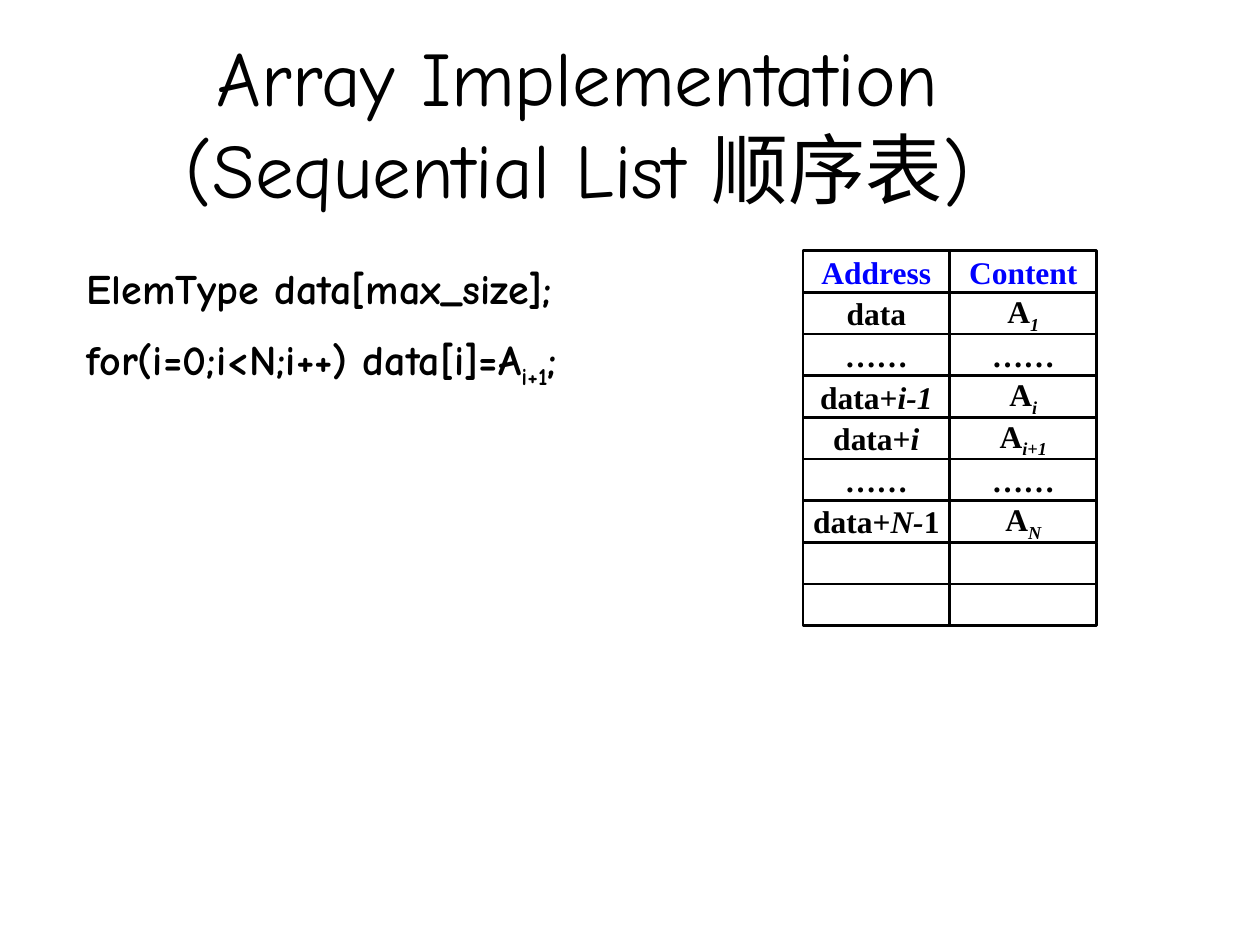
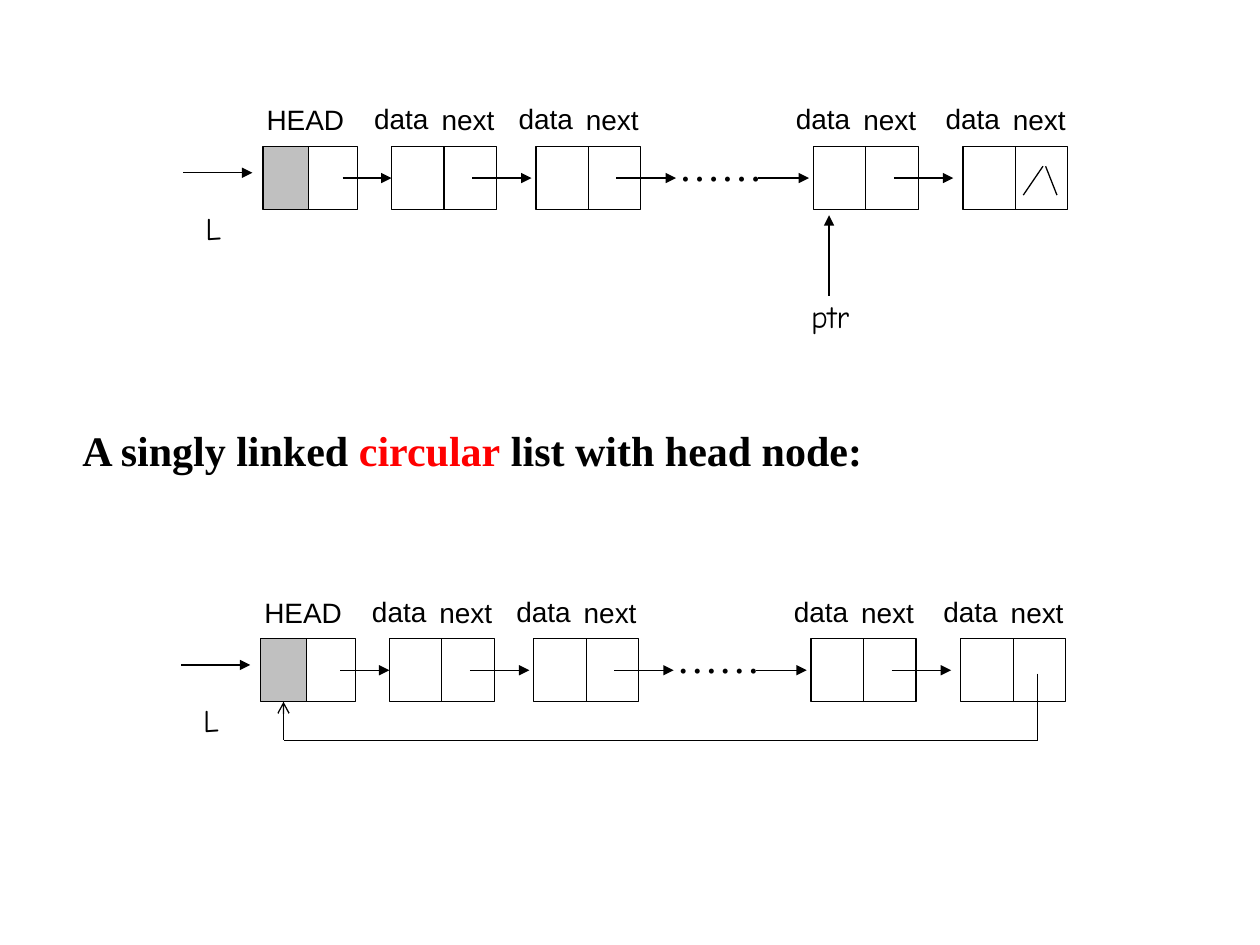
from lxml import etree
from pptx import Presentation
from pptx.dml.color import RGBColor
from pptx.enum.shapes import MSO_CONNECTOR, MSO_SHAPE
from pptx.enum.text import MSO_ANCHOR, PP_ALIGN
from pptx.oxml.ns import qn
from pptx.util import Pt

RECTANGLE = MSO_SHAPE.RECTANGLE
STRAIGHT = MSO_CONNECTOR.STRAIGHT
TOP, MIDDLE, BOTTOM = MSO_ANCHOR.TOP, MSO_ANCHOR.MIDDLE, MSO_ANCHOR.BOTTOM
LEFT, CENTER = PP_ALIGN.LEFT, PP_ALIGN.CENTER
LEFT_SITE, BOTTOM_SITE = 1, 2

COLORS = {"ink": "000000", "header": "0000FF", "accent": "FF0000", "head": "C0C0C0"}
HAND, SERIF, SANS = "Comic Neue", "Times New Roman", "Arial"
SUBSCRIPT = {"baseline": -25000}
ITALIC = {"italic": True}
ITALIC_SUBSCRIPT = {"italic": True, "baseline": -25000}


def color_of(name):
    return RGBColor.from_string(COLORS[name])


def write(frame, paragraphs, font=SANS, size=16, color="ink", bold=False, align=LEFT, gap=0):
    for index, pieces in enumerate(paragraphs):
        para = frame.add_paragraph() if index else frame.paragraphs[0]
        para.alignment = align
        if index:
            para.space_before = Pt(gap)
        for piece in pieces:
            text, change = (piece, {}) if isinstance(piece, str) else piece
            span = para.add_run()
            span.text = text
            span.font.name = font
            span.font.size = Pt(size)
            span.font.bold = bold
            span.font.italic = change.get("italic", False)
            span.font.color.rgb = color_of(change.get("color", color))
            if "baseline" in change:
                span.font._element.set("baseline", str(change["baseline"]))


class Deck:
    def __init__(self):
        self.file = Presentation()
        self.file.slide_width, self.file.slide_height = Pt(720), Pt(540)
        self.page = None

    def add_page(self):
        self.page = self.file.slides.add_slide(self.file.slide_layouts[6])

    def text(self, left, top, width, height, *paragraphs, anchor=TOP, **style):
        box = self.page.shapes.add_textbox(Pt(left), Pt(top), Pt(width), Pt(height))
        box.text_frame.word_wrap = True
        box.text_frame.vertical_anchor = anchor
        write(box.text_frame, paragraphs, **style)

    def cell(self, left, top, width, height, fill=None, weight=0.75):
        box = self.page.shapes.add_shape(RECTANGLE, Pt(left), Pt(top), Pt(width), Pt(height))
        box.shadow.inherit = False
        if fill:
            box.fill.solid()
            box.fill.fore_color.rgb = color_of(fill)
        else:
            box.fill.background()
        box.line.color.rgb = color_of("ink")
        box.line.width = Pt(weight)
        return box

    def line(self, start, end, tip=None, target=None, site=LEFT_SITE):
        x1, y1, x2, y2 = map(Pt, (*start, *end))
        line = self.page.shapes.add_connector(STRAIGHT, x1, y1, x2, y2)
        line.line.color.rgb = color_of("ink")
        line.line.width = Pt(0.75)
        if tip:
            etree.SubElement(line.line._get_or_add_ln(), qn("a:tailEnd"), type=tip)
        etree.SubElement(line._element.spPr, qn("a:effectLst"))
        if target is not None:
            line.end_connect(target, site)

    def memory_grid(self, left, top, width, height, rows, **style):
        for row_index, row in enumerate(rows):
            color = "ink" if row_index else "header"
            for column_index, pieces in enumerate(row):
                box = self.cell(left + column_index * width, top + row_index * height,
                                width, height, weight=1.5)
                if pieces:
                    frame = box.text_frame
                    frame.word_wrap = False
                    frame.vertical_anchor = MIDDLE
                    frame.margin_left = frame.margin_right = Pt(0)
                    write(frame, [pieces], color=color, align=CENTER, **style)

    def node(self, left, top, has_arrow):
        data, _ = [self.cell(left + shift, top, 30, 36) for shift in (0, 30)]
        self.text(left - 17, top - 29, 66, 26.5, ["data"])
        self.text(left + 21.5, top - 28.5, 66, 26.5, ["next"])
        if has_arrow:
            self.line((left + 46, top + 18), (left + 80, top + 18), "triangle")
        return data

    def linked_list(self, left, top):
        middle = top + 18
        head = self.cell(left, top, 26, 36, "head")
        self.cell(left + 26, top, 28, 36)
        self.text(left - 5, top - 28.5, 102, 26.5, ["HEAD"])
        offsets = (73.5, 156, 314.5, 400)
        nodes = [self.node(left + offset, top, offset != offsets[-1]) for offset in offsets]
        self.line((left + 45.5, middle), (left + 73.5, middle), "triangle", nodes[0])
        self.line((left - 45.5, top + 15), (left - 6, top + 15), "triangle")
        self.text(left - 40, top + 32, 40, 29, ["L"], font=HAND, size=18)
        self.text(left + 226.5, top - 3.5, 70, 28, ["……"], anchor=MIDDLE,
                  font=SERIF, size=24, align=CENTER)
        self.line((left + 283, middle), (left + 312, middle), "triangle")
        return head


def array_page(deck):
    deck.add_page()
    deck.text(60, 0, 540.5, 126, ["Array Implementation (Sequential List 顺序表)"],
              anchor=BOTTOM, font=HAND, size=44, align=CENTER)
    deck.text(42.5, 146.25, 385, 80,
              ["ElemType data[max_size];"],
              ["for(i=0;i<N;i++) data[i]=A", ("i+1", SUBSCRIPT), ";"],
              font=HAND, size=24, bold=True, gap=12)
    rows = [
        (["Address"], ["Content"]),
        (["data"], ["A", ("1", ITALIC_SUBSCRIPT)]),
        (["……"], ["……"]),
        (["data+", ("i-1", ITALIC)], ["A", ("i", ITALIC_SUBSCRIPT)]),
        (["data+", ("i", ITALIC)], ["A", ("i+1", ITALIC_SUBSCRIPT)]),
        (["……"], ["……"]),
        (["data+", ("N-", ITALIC), "1"], ["A", ("N", ITALIC_SUBSCRIPT)]),
        ([], []),
        ([], []),
    ]
    deck.memory_grid(458.75, 143.25, 84, 23.8, rows, font=SERIF, size=18, bold=True)


def linked_list_page(deck):
    deck.add_page()
    deck.linked_list(150.25, 83.75)
    deck.line((596, 95), (584.75, 111.5))
    deck.line((597.5, 95), (604, 111.5))
    deck.line((473.75, 169), (473.75, 123), "triangle")
    deck.text(456.5, 166, 78, 29, ["ptr"], font=HAND, size=18)

    deck.text(40, 239, 576, 36,
              ["A singly linked ", ("circular", {"color": "accent"}), " list with head node:"],
              font=SERIF, size=24, bold=True)

    head = deck.linked_list(149, 365)
    tail_x, head_x, loop_y = 593, 162, 423
    deck.line((tail_x, 385), (tail_x, loop_y))
    deck.line((tail_x, loop_y), (head_x, loop_y))
    deck.line((head_x, loop_y), (head_x, 401), "arrow", head, BOTTOM_SITE)


def main():
    deck = Deck()
    array_page(deck)
    linked_list_page(deck)
    deck.file.save("out.pptx")


if __name__ == "__main__":
    main()
